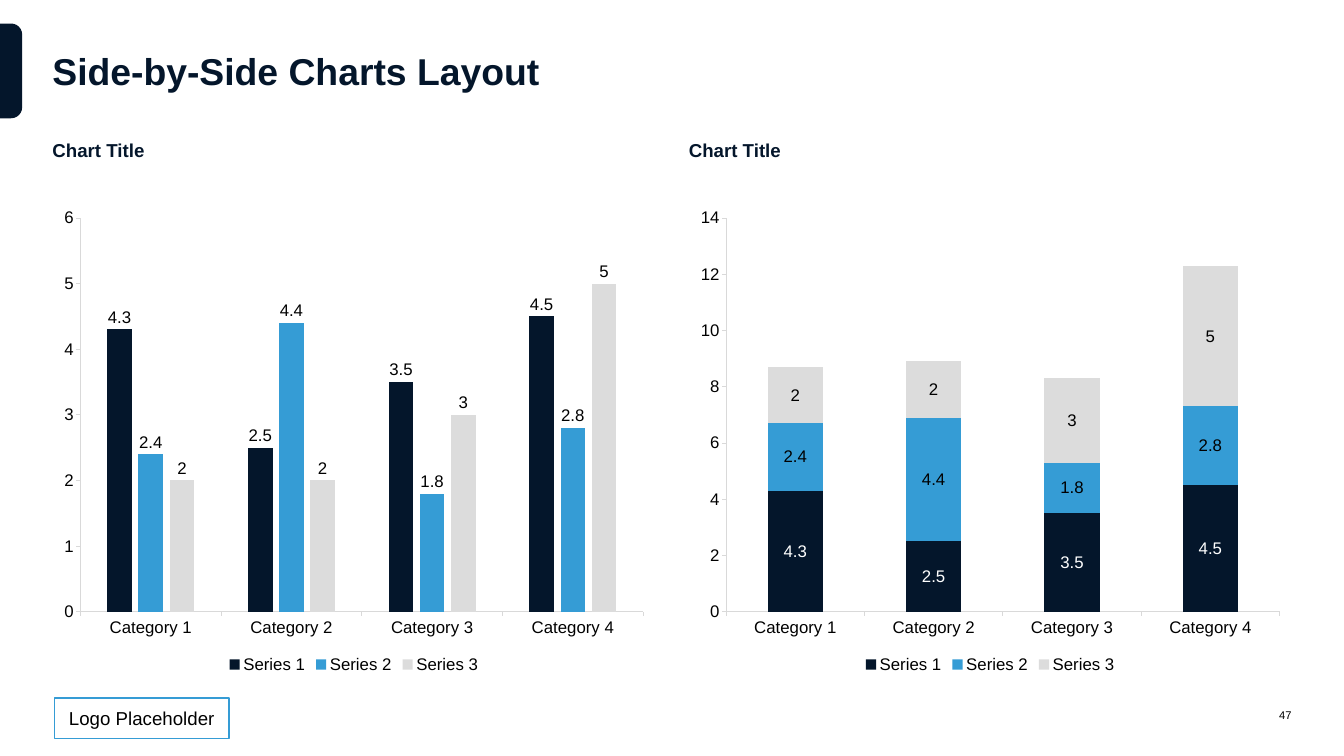
from dataclasses import dataclass

from pptx import Presentation
from pptx.chart.data import CategoryChartData
from pptx.dml.color import RGBColor
from pptx.enum.chart import XL_CHART_TYPE, XL_LABEL_POSITION, XL_LEGEND_POSITION, XL_TICK_MARK
from pptx.enum.shapes import MSO_SHAPE
from pptx.enum.text import MSO_ANCHOR, MSO_AUTO_SIZE, PP_ALIGN
from pptx.util import Inches, Pt

CLUSTERED, STACKED = XL_CHART_TYPE.COLUMN_CLUSTERED, XL_CHART_TYPE.COLUMN_STACKED
OUTSIDE, CENTER = XL_LABEL_POSITION.OUTSIDE_END, XL_LABEL_POSITION.CENTER
TOP, MIDDLE = MSO_ANCHOR.TOP, MSO_ANCHOR.MIDDLE


@dataclass(frozen=True)
class Theme:
    font: str = "Arial"
    navy: str = "04162B"
    blue: str = "359CD5"
    grey: str = "DCDCDC"
    axis: str = "D9D9D9"
    black: str = "000000"
    white: str = "FFFFFF"
    title_size: int = 40
    heading_size: int = 20
    chart_size: int = 18
    number_size: int = 12


THEME = Theme()

# Content
TITLE = "Side-by-Side Charts Layout"
LOGO_TEXT = "Logo Placeholder"
PAGE_NUMBER = "47"
CATEGORIES = ["Category 1", "Category 2", "Category 3", "Category 4"]
SERIES = [
    ("Series 1", (4.3, 2.5, 3.5, 4.5), THEME.navy),
    ("Series 2", (2.4, 4.4, 1.8, 2.8), THEME.blue),
    ("Series 3", (2, 2, 3, 5), THEME.grey),
]
BLACK_LABELS = [THEME.black] * 3
PANELS = [
    dict(heading="Chart Title", kind=CLUSTERED, gap=219, overlap=-27,
         label_at=OUTSIDE, label_colors=BLACK_LABELS),
    dict(heading="Chart Title", kind=STACKED, gap=150, overlap=100,
         label_at=CENTER, label_colors=[THEME.white] + BLACK_LABELS[1:]),
]

# Grid, in inches: two equal columns between the margins
SLIDE_W, SLIDE_H = 20, 11.25
MARGIN, GUTTER = 0.78, 0.5
CONTENT_W = SLIDE_W - 2 * MARGIN
COLUMN_W = (CONTENT_W - GUTTER) / 2
TITLE_TOP, TITLE_H = 0.35, 1.39
HEADING_TOP, HEADING_H = 2.07, 0.34
CHART_TOP, CHART_H = 2.96, 7.12
FOOTER_TOP = 10.39
TAB_W, TAB_H = 0.33, 1.41
NUMBER_W = 0.88


def rgb(value):
    return RGBColor.from_string(value)


def box(left, top, width, height):
    return [Inches(n) for n in (left, top, width, height)]


def style_font(font, size, color, bold=False):
    font.name, font.size, font.bold = THEME.font, Pt(size), bold
    font.color.rgb = rgb(color)


def write(shape, text, size, color, bold=False, align=PP_ALIGN.LEFT, anchor=MIDDLE):
    frame = shape.text_frame
    frame.word_wrap = True
    frame.auto_size = MSO_AUTO_SIZE.NONE
    frame.vertical_anchor = anchor
    frame.margin_left = frame.margin_right = frame.margin_top = frame.margin_bottom = 0
    paragraph = frame.paragraphs[0]
    paragraph.alignment = align
    run = paragraph.add_run()
    run.text = text
    style_font(run.font, size, color, bold)


def add_block(slide, preset, place, fill, line=None):
    shape = slide.shapes.add_shape(preset, *box(*place))
    shape.shadow.inherit = False
    shape.fill.solid()
    shape.fill.fore_color.rgb = rgb(fill)
    if line:
        shape.line.color.rgb = rgb(line)
        shape.line.width = Pt(1.5)
    else:
        shape.line.fill.background()
    return shape


def add_column_chart(slide, panel, left):
    data = CategoryChartData()
    data.categories = CATEGORIES
    for name, values, _ in SERIES:
        data.add_series(name, values)
    place = box(left, CHART_TOP, COLUMN_W, CHART_H)
    chart = slide.shapes.add_chart(panel["kind"], *place, data).chart
    chart.has_title = False
    style_font(chart.font, THEME.chart_size, THEME.black)

    chart.has_legend = True
    chart.legend.position = XL_LEGEND_POSITION.BOTTOM
    chart.legend.include_in_layout = False
    style_font(chart.legend.font, THEME.chart_size, THEME.black)

    for axis in (chart.category_axis, chart.value_axis):
        axis.has_major_gridlines = False
        axis.major_tick_mark = XL_TICK_MARK.OUTSIDE
        axis.minor_tick_mark = XL_TICK_MARK.NONE
        axis.format.line.color.rgb = rgb(THEME.axis)
        axis.format.line.width = Pt(0.75)
        style_font(axis.tick_labels.font, THEME.chart_size, THEME.black)

    plot = chart.plots[0]
    plot.vary_by_categories = False
    plot.gap_width, plot.overlap = panel["gap"], panel["overlap"]
    for series, (_, _, color), label_color in zip(plot.series, SERIES, panel["label_colors"]):
        series.invert_if_negative = False
        series.format.fill.solid()
        series.format.fill.fore_color.rgb = rgb(color)
        labels = series.data_labels
        labels.show_value = True
        labels.position = panel["label_at"]
        style_font(labels.font, THEME.chart_size, label_color)


def main():
    deck = Presentation()
    deck.slide_width, deck.slide_height = Inches(SLIDE_W), Inches(SLIDE_H)
    slide = deck.slides.add_slide(deck.slide_layouts[5])

    # Edge tab: turned so that its rounded side faces right
    tab = add_block(slide, MSO_SHAPE.ROUND_2_SAME_RECTANGLE,
                    ((TAB_W - TAB_H) / 2, TITLE_TOP + (TAB_H - TAB_W) / 2, TAB_H, TAB_W),
                    THEME.navy)
    tab.rotation = 90
    tab.adjustments[0], tab.adjustments[1] = 0.5, 0

    # Title
    title = slide.shapes.title
    title.left, title.top, title.width, title.height = box(MARGIN, TITLE_TOP, CONTENT_W, TITLE_H)
    write(title, TITLE, THEME.title_size, THEME.navy, bold=True)

    # Chart columns
    for column, panel in enumerate(PANELS):
        left = MARGIN + column * (COLUMN_W + GUTTER)
        heading = slide.shapes.add_textbox(*box(left, HEADING_TOP, COLUMN_W, HEADING_H))
        write(heading, panel["heading"], THEME.heading_size, THEME.navy, bold=True, anchor=TOP)
        add_column_chart(slide, panel, left)

    # Footer
    logo = add_block(slide, MSO_SHAPE.RECTANGLE, (0.81, FOOTER_TOP, 2.6, 0.6),
                     THEME.white, THEME.blue)
    write(logo, LOGO_TEXT, THEME.heading_size, THEME.black, align=PP_ALIGN.CENTER)
    number = slide.shapes.add_textbox(
        *box(SLIDE_W - MARGIN - NUMBER_W, FOOTER_TOP, NUMBER_W, 0.51))
    write(number, PAGE_NUMBER, THEME.number_size, THEME.black, align=PP_ALIGN.RIGHT)

    deck.save("out.pptx")


if __name__ == "__main__":
    main()
